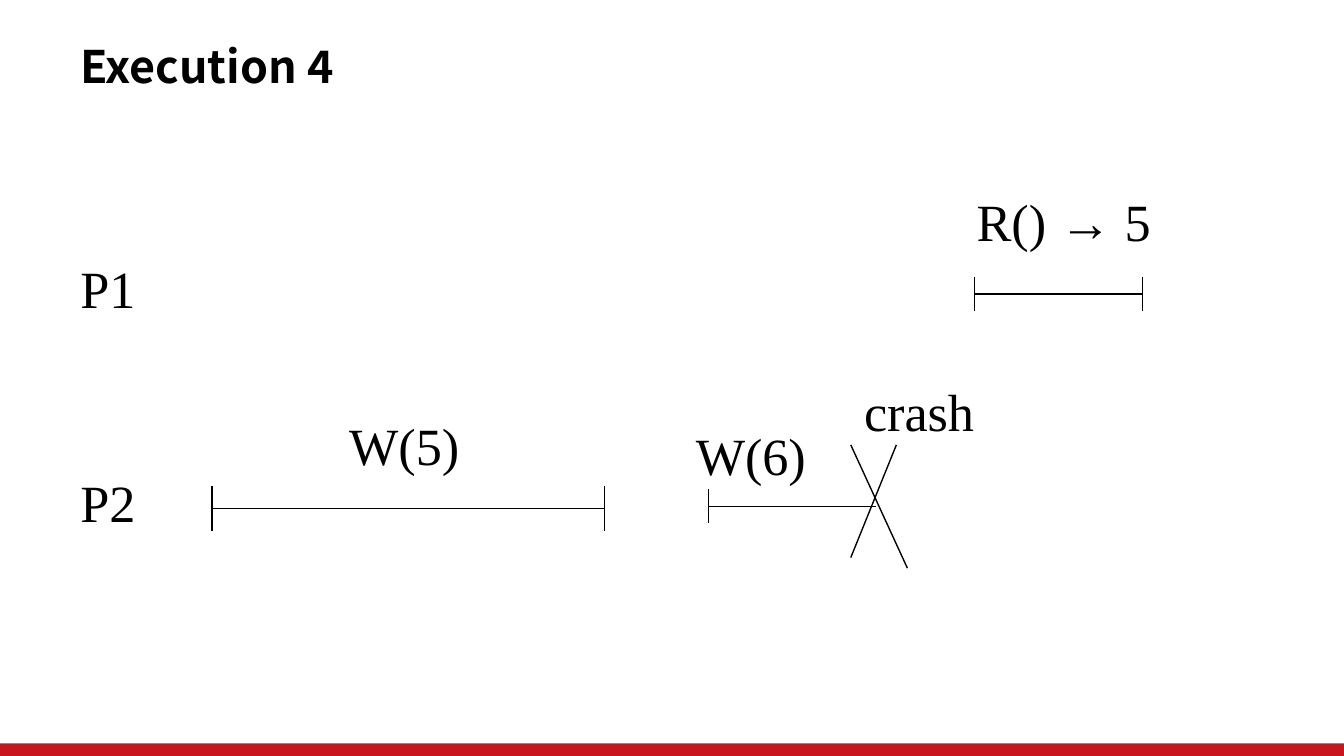
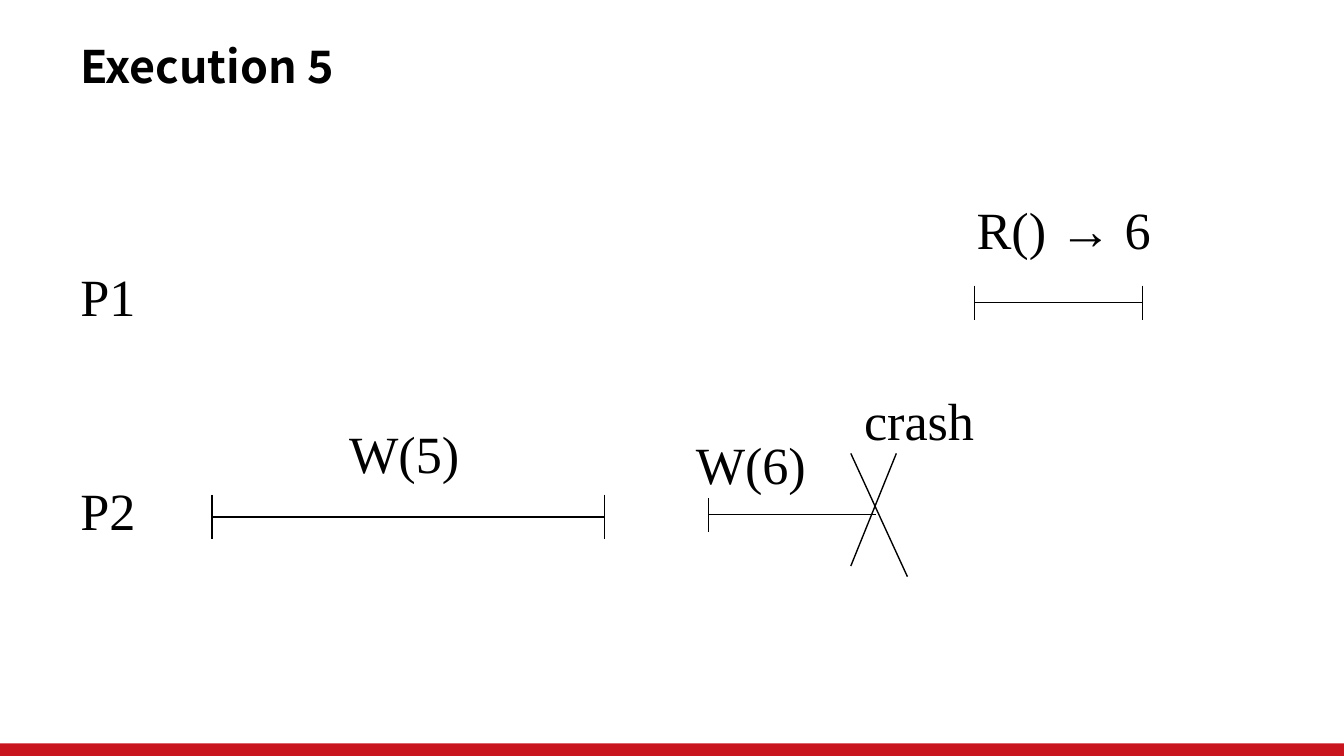
from dataclasses import dataclass

from lxml.etree import SubElement
from pptx import Presentation
from pptx.dml.color import RGBColor
from pptx.enum.shapes import MSO_CONNECTOR, MSO_SHAPE
from pptx.enum.text import MSO_ANCHOR, MSO_AUTO_SIZE
from pptx.oxml.ns import qn
from pptx.slide import Slide
from pptx.util import Cm, Pt

BLACK = RGBColor(0x00, 0x00, 0x00)
WHITE = RGBColor(0xFF, 0xFF, 0xFF)
RED = RGBColor(0xC9, 0x15, 0x1E)
TITLE_FONT = "Noto Sans CJK SC"
LABEL_FONT = "Times New Roman"
SLIDE_WIDTH, SLIDE_HEIGHT = 25.4, 14.29
BAND_HEIGHT = 0.24
LABEL_HEIGHT = 1.45


@dataclass(frozen=True)
class Label:
    text: str
    left: float
    top: float
    width: float = 2.59


@dataclass(frozen=True)
class Operation:
    start: float
    end: float
    middle: float
    tick: float
    completed: bool = True


@dataclass(frozen=True)
class Stroke:
    x1: float
    y1: float
    x2: float
    y2: float


@dataclass(frozen=True)
class Execution:
    title: str
    read_result: str
    shift: float


EXECUTIONS = (
    Execution("Execution 4", "R() → 5", 0),
    Execution("Execution 5", "R() → 6", 0.16),
)
LABELS = (
    Label("P2", 1.27, 8.64, 1.55),
    Label("P1", 1.27, 4.6, 1.55),
    Label("W(5)", 6.35, 7.57),
    Label("W(6)", 12.9, 7.77),
    Label("crash", 16.08, 6.93),
)
OPERATIONS = (
    Operation(18.42, 21.59, 5.56, 0.32),
    Operation(4.01, 11.43, 9.61, 0.42),
    Operation(13.39, 16.56, 9.57, 0.32, completed=False),
)
CRASH_CROSS = (
    Stroke(16.94, 8.41, 16.08, 10.54),
    Stroke(16.08, 8.41, 17.15, 10.74),
)


def add_text(slide: Slide, text: str, left: float, top: float, width: float,
             height: float, *, font: str, size: float, bold: bool = False,
             wrap: bool = False, inset_top: float = 0,
             inset_bottom: float = 0) -> None:
    """Place one line of black text in a box measured in centimetres."""
    box = slide.shapes.add_textbox(Cm(left), Cm(top), Cm(width), Cm(height))
    frame = box.text_frame
    frame.word_wrap = wrap
    frame.auto_size = MSO_AUTO_SIZE.NONE if wrap else MSO_AUTO_SIZE.SHAPE_TO_FIT_TEXT
    frame.vertical_anchor = MSO_ANCHOR.TOP
    frame.margin_top, frame.margin_bottom = Cm(inset_top), Cm(inset_bottom)
    run = frame.paragraphs[0].add_run()
    run.text = text
    run.font.name = font
    run.font.size = Pt(size)
    run.font.bold = bold
    run.font.color.rgb = BLACK


def add_label(slide: Slide, label: Label, shift: float) -> None:
    """Write a process, operation or crash label."""
    add_text(slide, label.text, label.left, label.top + shift, label.width,
             LABEL_HEIGHT, font=LABEL_FONT, size=28, inset_top=0.24,
             inset_bottom=0.05)


def add_stroke(slide: Slide, stroke: Stroke, shift: float) -> None:
    """Draw a thin black line without shadow."""
    line = slide.shapes.add_connector(
        MSO_CONNECTOR.STRAIGHT, Cm(stroke.x1), Cm(stroke.y1 + shift),
        Cm(stroke.x2), Cm(stroke.y2 + shift))
    line.line.color.rgb = BLACK
    line.line.width = Pt(0.75)
    SubElement(line._element.spPr, qn("a:effectLst"))


def add_operation(slide: Slide, operation: Operation, shift: float) -> None:
    """Draw an interval with a tick at its start and, if completed, its end."""
    middle, tick = operation.middle, operation.tick
    add_stroke(slide, Stroke(operation.start, middle, operation.end, middle), shift)
    ends = (operation.start, operation.end) if operation.completed else (operation.start,)
    for x in ends:
        add_stroke(slide, Stroke(x, middle - tick, x, middle + tick), shift)


def add_frame(slide: Slide, title: str) -> None:
    """Set the background, bottom band and title shared by the slides."""
    slide.background.fill.solid()
    slide.background.fill.fore_color.rgb = WHITE
    band = slide.shapes.add_shape(
        MSO_SHAPE.RECTANGLE, 0, Cm(SLIDE_HEIGHT - BAND_HEIGHT),
        Cm(SLIDE_WIDTH), Cm(BAND_HEIGHT))
    band.shadow.inherit = False
    band.fill.solid()
    band.fill.fore_color.rgb = RED
    band.line.fill.background()
    add_text(slide, title, 1.27, 0.74, 17.68, 1.24, font=TITLE_FONT, size=24,
             bold=True, wrap=True)


def add_execution(slide: Slide, execution: Execution) -> None:
    """Draw the timeline of one execution."""
    add_frame(slide, execution.title)
    read_label = Label(execution.read_result, 18.21, 3.33, 3.81)
    for label in (*LABELS, read_label):
        add_label(slide, label, execution.shift)
    for operation in OPERATIONS:
        add_operation(slide, operation, execution.shift)
    for stroke in CRASH_CROSS:
        add_stroke(slide, stroke, execution.shift)


def main() -> None:
    """Build and save the presentation."""
    presentation = Presentation()
    presentation.slide_width = Cm(SLIDE_WIDTH)
    presentation.slide_height = Cm(SLIDE_HEIGHT)
    blank = presentation.slide_layouts[6]
    for execution in EXECUTIONS:
        add_execution(presentation.slides.add_slide(blank), execution)
    presentation.save("out.pptx")


if __name__ == "__main__":
    main()
